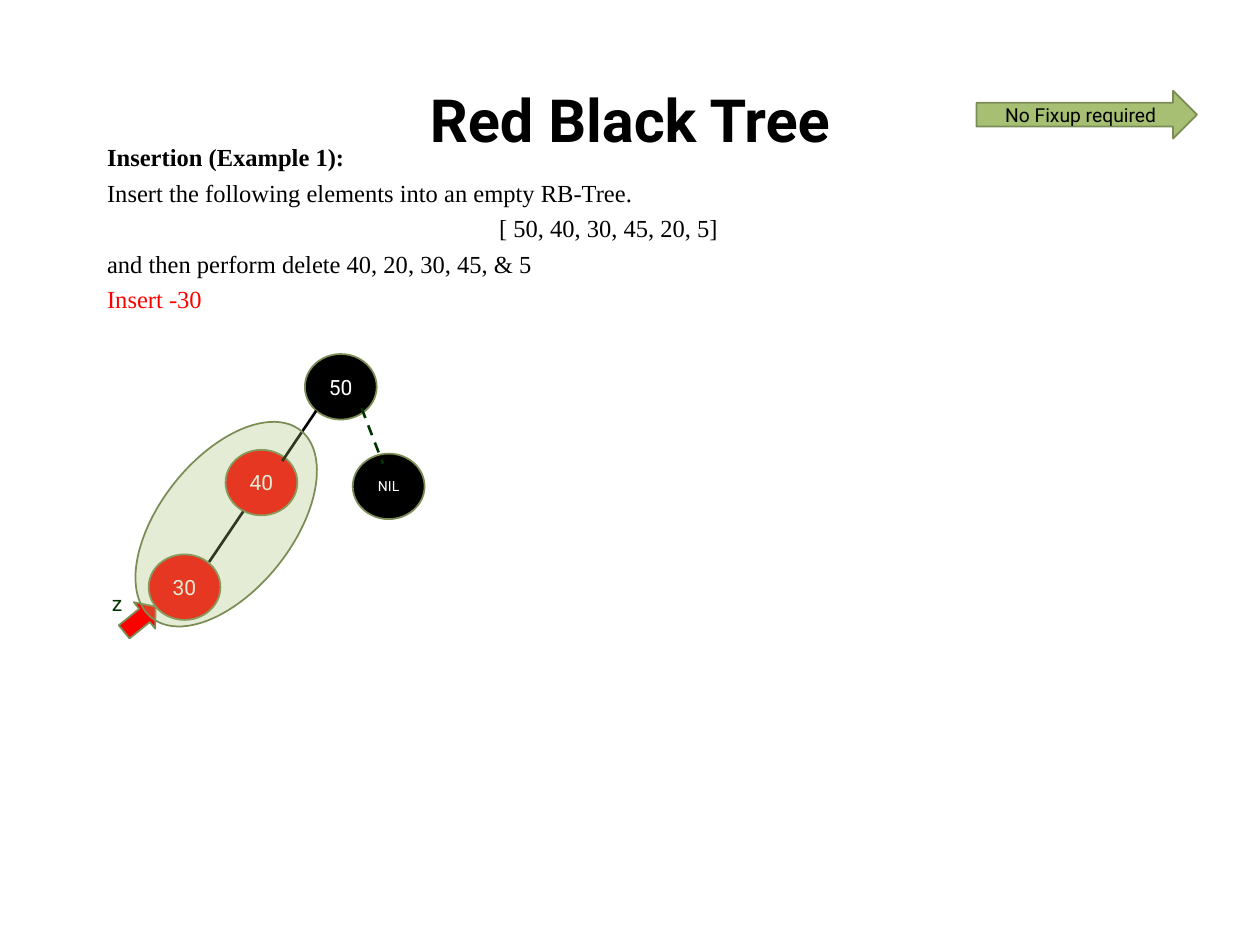
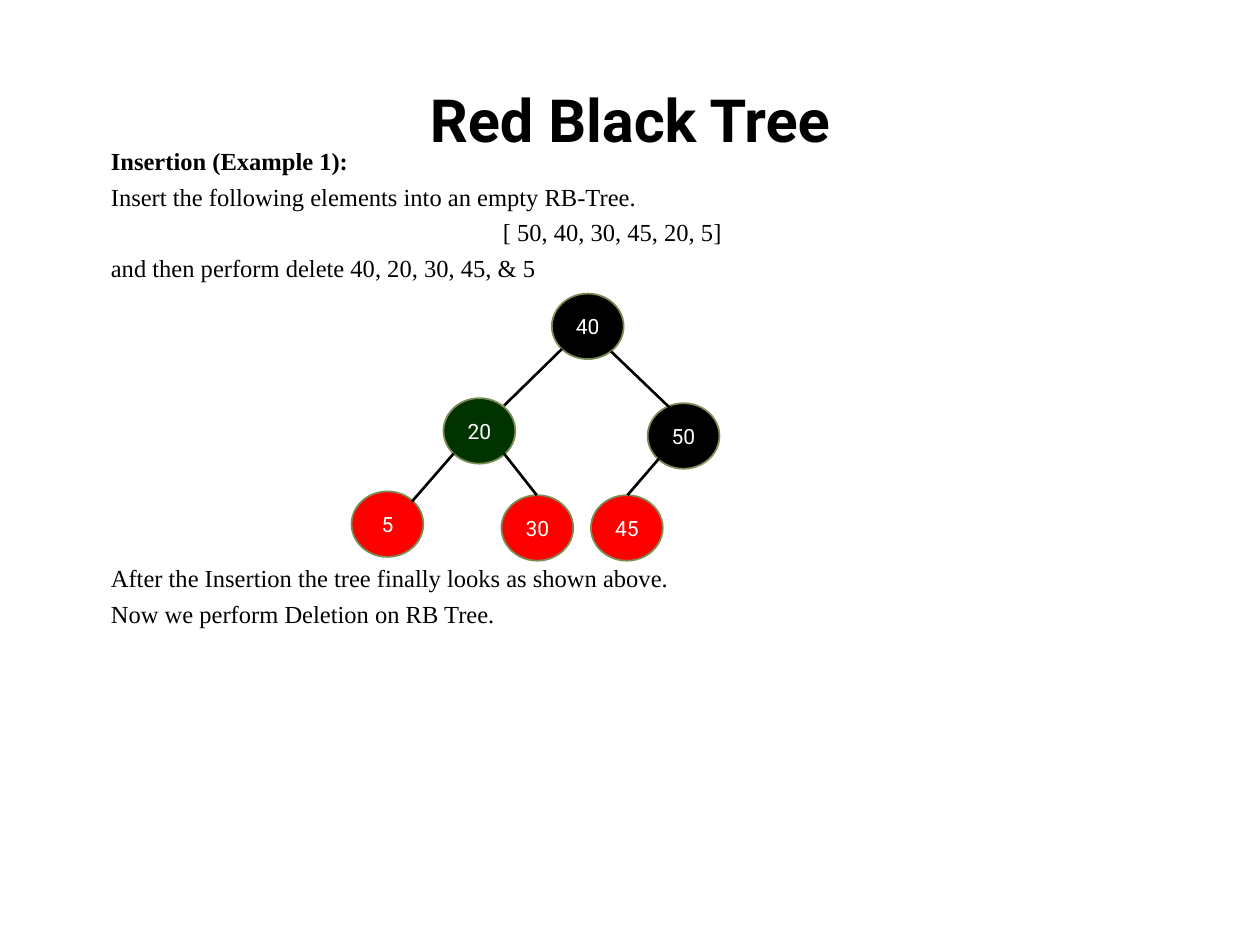
from dataclasses import dataclass

from lxml.etree import SubElement
from pptx import Presentation
from pptx.dml.color import RGBColor as RGB
from pptx.enum.dml import MSO_LINE as Dash
from pptx.enum.shapes import MSO_CONNECTOR as Link, MSO_SHAPE as Kind
from pptx.enum.text import MSO_ANCHOR as Anchor, MSO_AUTO_SIZE as Fit, PP_ALIGN as Align
from pptx.oxml.ns import qn
from pptx.util import Inches, Pt


@dataclass(frozen=True)
class Theme:
    black: RGB = RGB(0, 0, 0)
    white: RGB = RGB(255, 255, 255)
    red: RGB = RGB(255, 0, 0)
    green: RGB = RGB(0, 0x33, 0)
    olive: RGB = RGB(0xA6, 0xBF, 0x73)
    rim: RGB = RGB(0x7B, 0x8D, 0x55)
    sans: str = "Roboto"
    serif: str = "Times New Roman"
    head: float = 34
    body: float = 14
    label: float = 12
    note: float = 11
    small: float = 8
    gap: float = 3.5
    thin: float = 1
    edge: float = 1.5


T = Theme()
NODE = (0.57, 0.52)
TASK = [
    ("Insertion (Example 1):", {"bold": True, "align": Align.JUSTIFY}),
    ("Insert the following elements into an empty RB-Tree.", {"align": Align.JUSTIFY}),
    ("[ 50, 40, 30, 45, 20, 5]", {"align": Align.CENTER}),
    ("and then perform delete 40, 20, 30, 45, & 5", {}),
]


def place(shape, left, top, width, height):
    shape.left, shape.top = Inches(left), Inches(top)
    shape.width, shape.height = Inches(width), Inches(height)


def write(para, text, size, color, face=T.sans, bold=False):
    run = para.add_run()
    run.text = text
    font = run.font
    font.name, font.size, font.bold = face, Pt(size), bold
    font.color.rgb = color


def add_page(deck, lines, box):
    """Add a slide with the shared title and unbulleted body lines."""
    page = deck.slides.add_slide(deck.slide_layouts[1])
    title, body = page.placeholders
    place(title, 0.5, 0.55, 9, 0.79)
    title.text_frame.vertical_anchor = Anchor.MIDDLE
    para = title.text_frame.paragraphs[0]
    para.alignment = Align.CENTER
    write(para, "Red Black Tree", T.head, T.black, bold=True)

    place(body, *box)
    frame = body.text_frame
    frame.auto_size = Fit.NONE
    for i, (text, look) in enumerate(lines):
        para = frame.add_paragraph() if i else frame.paragraphs[0]
        props = para._p.get_or_add_pPr()
        props.set("marL", "0")
        props.set("indent", "0")
        SubElement(props, qn("a:buNone"))
        para.alignment = look.get("align", Align.LEFT)
        para.space_before = Pt(look.get("gap", T.gap) if i else 0)
        write(para, text, T.body, look.get("color", T.black), T.serif, look.get("bold", False))
    return page


def add_form(page, kind, box, fill, turn=0):
    form = page.shapes.add_shape(kind, *map(Inches, box))
    form.shadow.inherit = False
    form.rotation = turn
    form.fill.solid()
    form.fill.fore_color.rgb = fill
    form.line.color.rgb = T.rim
    form.line.width = Pt(T.thin)
    return form


def add_label(form, text, size, color):
    frame = form.text_frame
    frame.word_wrap = False
    frame.margin_left = frame.margin_right = 0
    frame.margin_top = frame.margin_bottom = 0
    frame.vertical_anchor = Anchor.MIDDLE
    para = frame.paragraphs[0]
    para.alignment = Align.CENTER
    write(para, text, size, color)


def add_node(page, text, left, top, fill, size=T.label):
    form = add_form(page, Kind.OVAL, (left, top, *NODE), fill)
    add_label(form, text, size, T.white)


def add_edge(page, x1, y1, x2, y2, color=T.black, dash=None):
    edge = page.shapes.add_connector(Link.STRAIGHT, *map(Inches, (x1, y1, x2, y2)))
    edge.line.color.rgb = color
    edge.line.width = Pt(T.edge)
    if dash:
        edge.line.dash_style = dash
    SubElement(edge._element.spPr, qn("a:effectLst"))


def add_tree(page, nodes, edges):
    for node in nodes:
        add_node(page, *node)
    for edge in edges:
        add_edge(page, *edge)


def add_mark(page):
    """Point the red arrow named z at the newest node."""
    box = page.shapes.add_textbox(*map(Inches, (0.79, 4.64, 0.27, 0.3)))
    box.text_frame.word_wrap = True
    write(box.text_frame.paragraphs[0], "z", T.label, T.green)
    arrow = add_form(page, Kind.RIGHT_ARROW, (0.95, 4.78, 0.32, 0.27), T.red, 321)
    arrow.adjustments[1] = 0.415


def add_halo(page):
    """Lay a see-through oval over the red parent and child."""
    halo = add_form(page, Kind.OVAL, (1.27, 3.21, 1.05, 1.9), T.olive, 38.5)
    tint = halo._element.spPr.find(qn("a:solidFill"))[0]
    SubElement(tint, qn("a:alpha")).set("val", "29000")


def show_insert(deck):
    lines = TASK + [("Insert -30", {"color": T.red})]
    page = add_page(deck, lines, (0.75, 1.08, 8.16, 1.21))
    flag = add_form(page, Kind.RIGHT_ARROW, (7.75, 0.72, 1.75, 0.38), T.olive)
    add_label(flag, "No Fixup required", T.note, T.black)
    nodes = [
        ("40", 1.79, 3.57, T.red),
        ("50", 2.42, 2.81, T.black),
        ("30", 1.18, 4.4, T.red),
        ("NIL", 2.8, 3.6, T.black, T.small),
    ]
    edges = [
        (2.51, 3.26, 2.24, 3.66),
        (1.93, 4.06, 1.66, 4.46),
        (2.87, 3.24, 3.04, 3.68, T.green, Dash.DASH),
    ]
    add_tree(page, nodes, edges)
    add_mark(page)
    add_halo(page)


def show_final(deck):
    lines = TASK + [
        ("After the Insertion the tree finally looks as shown above.", {"gap": 160.5}),
        ("Now we perform Deletion on RB Tree.", {}),
    ]
    page = add_page(deck, lines, (0.78, 1.11, 8.16, 4.98))
    nodes = [
        ("40", 4.38, 2.33, T.black),
        ("50", 5.14, 3.2, T.black),
        ("20", 3.52, 3.16, T.green),
        ("45", 4.69, 3.93, T.red),
        ("5", 2.79, 3.9, T.red),
        ("30", 3.98, 3.93, T.red),
    ]
    edges = [
        (4.85, 2.79, 5.32, 3.24),
        (4.46, 2.77, 4, 3.22),
        (5.23, 3.64, 4.98, 3.93),
        (3.6, 3.6, 3.27, 3.98),
        (4, 3.6, 4.26, 3.93),
    ]
    add_tree(page, nodes, edges)


def main():
    deck = Presentation()
    deck.slide_width, deck.slide_height = Inches(10), Inches(7.5)
    show_insert(deck)
    show_final(deck)
    deck.save("out.pptx")


if __name__ == "__main__":
    main()
